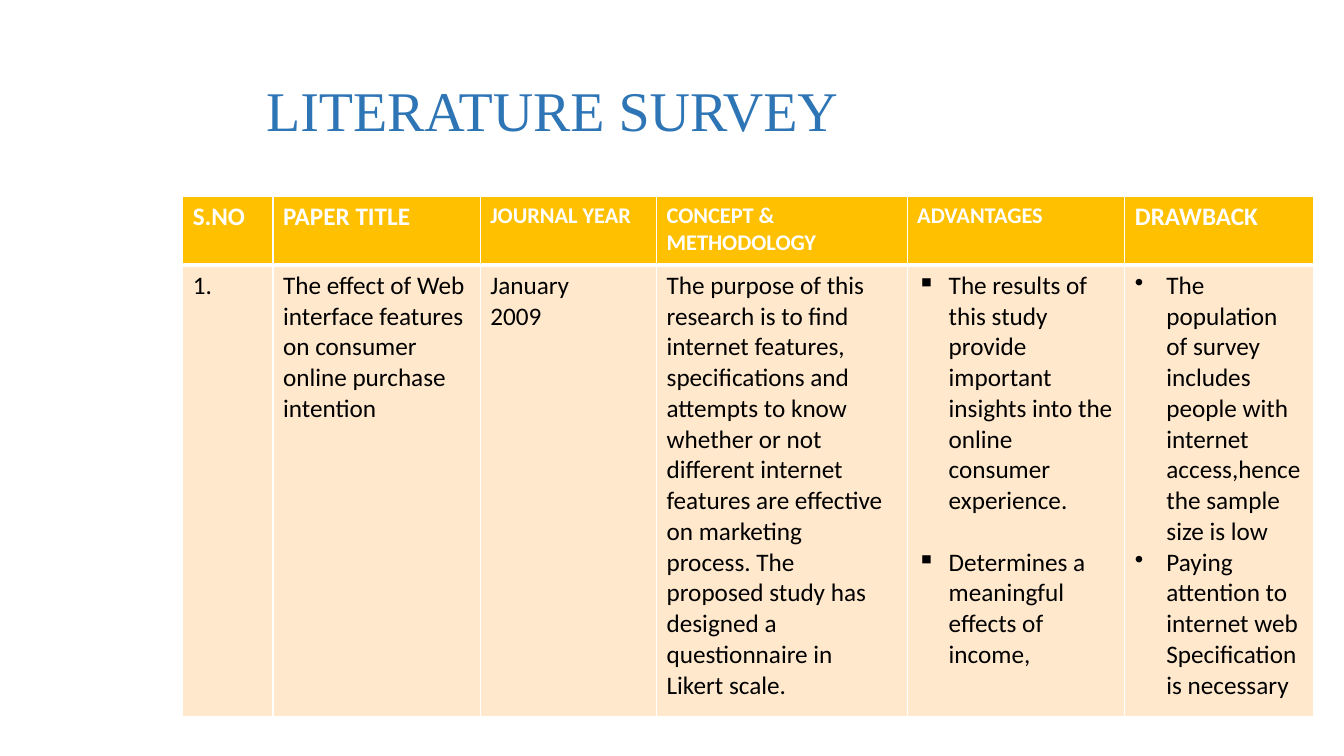
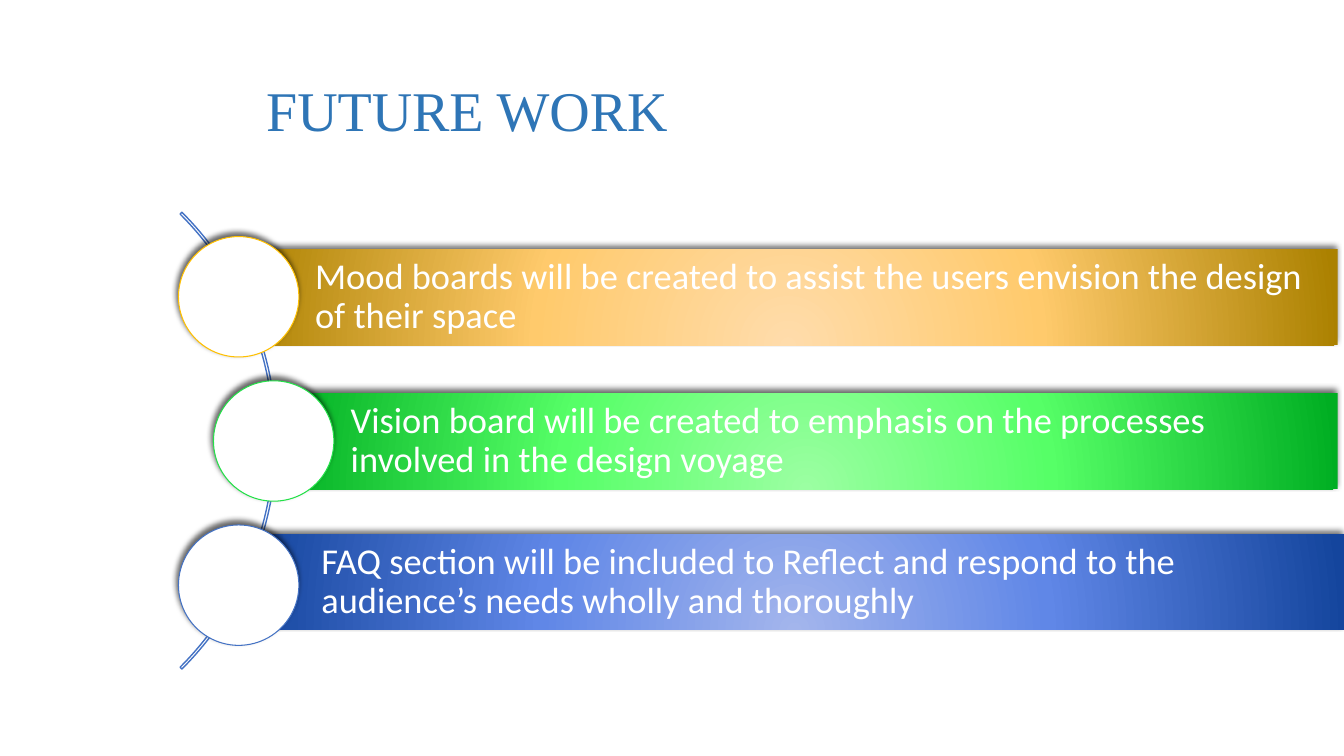
"""Build a literature survey table slide and a future work list slide."""
from dataclasses import dataclass

from lxml import etree
from pptx import Presentation
from pptx.dml.color import RGBColor
from pptx.enum.shapes import MSO_SHAPE as Preset
from pptx.enum.text import MSO_ANCHOR as Anchor
from pptx.oxml import parse_xml
from pptx.oxml.ns import nsdecls, qn
from pptx.util import Pt


@dataclass(frozen=True)
class Theme:
    title_font: str = "Times New Roman"
    body_font: str = "Calibri"
    title_color: str = "2E75B6"
    white: str = "FFFFFF"
    black: str = "000000"
    gold: str = "FFC000"
    green: str = "23E148"
    blue: str = "4472C4"
    cell: str = "FFE8CC"
    gold_gradient: tuple = ("FFDCAB", "FFCA6C", "AB8100")
    green_gradient: tuple = ("9BFFA2", "56FF67", "00AE22")
    blue_gradient: tuple = ("A3B5EC", "6087E7", "14459D")
    title_size: int = 40
    bar_size: int = 26
    table_size: int = 18
    small_header_size: int = 16


theme = Theme()


def write(frame, text, size, color, font=theme.body_font, bold=False,
          bullet=None, gap=0, line_spacing=None):
    """Fill a text frame, one paragraph per line of text."""
    frame.word_wrap = True
    for index, line in enumerate(text.split("\n")):
        paragraph = frame.add_paragraph() if index else frame.paragraphs[0]
        paragraph.text = line
        if bullet:
            properties = paragraph._p.get_or_add_pPr()
            properties.set("marL", str(Pt(22.5)))
            properties.set("indent", str(-Pt(22.5)))
            etree.SubElement(properties, qn("a:buChar")).set("char", bullet)
        if index and gap:
            paragraph.space_before = Pt(gap)
        if line_spacing:
            paragraph.line_spacing = line_spacing
        for run in paragraph.runs:
            run.font.name = font
            run.font.size = Pt(size)
            run.font.bold = bold
            run.font.color.rgb = RGBColor.from_string(color)


def add_shadowed(slide, preset, left, top, width, height):
    """Add a preset shape with a soft shadow above it."""
    shape = slide.shapes.add_shape(preset, Pt(left), Pt(top), Pt(width), Pt(height))
    shape.shadow.inherit = False
    shape._element.spPr.find(qn("a:effectLst")).append(parse_xml(
        f'<a:outerShdw {nsdecls("a")} blurRad="{Pt(4)}" dist="{Pt(3)}" '
        f'dir="{245 * 60000}" rotWithShape="0"><a:srgbClr val="{theme.black}">'
        '<a:alpha val="60000"/></a:srgbClr></a:outerShdw>'))
    return shape


presentation = Presentation()
presentation.slide_width = Pt(960)
presentation.slide_height = Pt(540)

slides = []
for title in ("LITERATURE SURVEY", "FUTURE WORK"):
    slide = presentation.slides.add_slide(presentation.slide_layouts[6])
    title_box = slide.shapes.add_textbox(Pt(183), Pt(29), Pt(711), Pt(104))
    title_box.text_frame.vertical_anchor = Anchor.MIDDLE
    write(title_box.text_frame, title, theme.title_size, theme.title_color,
          font=theme.title_font, line_spacing=0.9)
    slides.append(slide)
survey_slide, future_slide = slides

concept = """The purpose of this
research is to find
internet features,
specifications and
attempts to know
whether or not
different internet
features are effective
on marketing
process. The
proposed study has
designed a
questionnaire in
Likert scale."""
advantages = """The results of this study provide important insights into the online consumer experience.
Determines a meaningful effects of income,"""
drawbacks = """The population of survey includes people with internet access,hence the sample size is low
Paying attention to internet web Specification\vis necessary"""

large, small = theme.table_size, theme.small_header_size
columns = [
    (64.5, "S.NO", large, "1.", {}),
    (148, "PAPER TITLE", large,
     "The effect of Web\ninterface features\non consumer online purchase intention", {}),
    (126, "JOURNAL YEAR", small, "January\n2009", {}),
    (179, "CONCEPT &\nMETHODOLOGY", small, concept, {}),
    (155.5, "ADVANTAGES", small, advantages, {"bullet": "▪", "gap": 22}),
    (135, "DRAWBACK", large, drawbacks, {"bullet": "•"}),
]
table_width = sum(column[0] for column in columns)
table = survey_slide.shapes.add_table(
    2, len(columns), Pt(130.5), Pt(140.5), Pt(table_width), Pt(371.5)).table
table.horz_banding = False
table.rows[0].height = Pt(49)
table.rows[1].height = Pt(322.5)

for index, (width, header, header_size, body, body_format) in enumerate(columns):
    table.columns[index].width = Pt(width)
    header_cell, body_cell = table.cell(0, index), table.cell(1, index)
    write(header_cell.text_frame, header, header_size, theme.white, bold=True)
    write(body_cell.text_frame, body, theme.table_size, theme.black, **body_format)
    for cell, color, top, bottom in ((header_cell, theme.gold, 1, 3),
                                     (body_cell, theme.cell, 3, 1)):
        cell.fill.solid()
        cell.fill.fore_color.rgb = RGBColor.from_string(color)
        borders = {"lnL": 1, "lnR": 1, "lnT": top, "lnB": bottom}
        for position, (side, weight) in enumerate(borders.items()):
            cell._tc.get_or_add_tcPr().insert(position, parse_xml(
                f'<a:{side} {nsdecls("a")} w="{Pt(weight)}"><a:solidFill>'
                f'<a:srgbClr val="{theme.white}"/></a:solidFill></a:{side}>'))

arc = future_slide.shapes.add_shape(
    Preset.BLOCK_ARC, Pt(-264), Pt(84), Pt(461.5), Pt(461.5))
arc.shadow.inherit = False
for index, value in enumerate((189, 27, 0.004)):
    arc.adjustments[index] = value
arc.fill.background()
arc.line.color.rgb = RGBColor.from_string(theme.blue)
arc.line.width = Pt(1)

circle_size, circle_top, circle_pitch = 86, 169, 103
items = [
    ("Mood boards will be created to assist the users envision the design of their space",
     170.5, 178, 785, 127.5, theme.gold, theme.gold_gradient),
    ("Vision board will be created to emphasis on the processes involved in the design voyage",
     196, 281, 759.5, 152.5, theme.green, theme.green_gradient),
    ("FAQ section will be included to Reflect and respond to the audience’s needs wholly "
     "and thoroughly",
     175, 381.5, 785, 127.5, theme.blue, theme.blue_gradient),
]
for index, (text, left, top, width, circle_left, outline, gradient) in enumerate(items):
    bar = add_shadowed(future_slide, Preset.RECTANGLE, left, top, width, 68.5)
    stops = "".join(
        f'<a:gs pos="{position}000"><a:srgbClr val="{color}"/></a:gs>'
        for position, color in zip((0, 46, 100), gradient))
    bar._element.spPr.find(qn("a:prstGeom")).addnext(parse_xml(
        f'<a:gradFill {nsdecls("a")} rotWithShape="1"><a:gsLst>{stops}</a:gsLst>'
        '<a:path path="circle"><a:fillToRect l="50000" t="155000" r="50000" b="-55000"/>'
        '</a:path></a:gradFill>'))
    bar.line.fill.background()
    frame = bar.text_frame
    frame.vertical_anchor = Anchor.MIDDLE
    frame.margin_left = Pt(54.5)
    frame.margin_top = frame.margin_right = frame.margin_bottom = Pt(5)
    write(frame, text, theme.bar_size, theme.white, line_spacing=0.9)
    for paragraph in frame.paragraphs:
        paragraph.alignment = 1

    circle = add_shadowed(future_slide, Preset.OVAL, circle_left,
                          circle_top + index * circle_pitch, circle_size, circle_size)
    circle.fill.solid()
    circle.fill.fore_color.rgb = RGBColor.from_string(theme.white)
    circle.line.color.rgb = RGBColor.from_string(outline)
    circle.line.width = Pt(0.75)

presentation.save("out.pptx")
